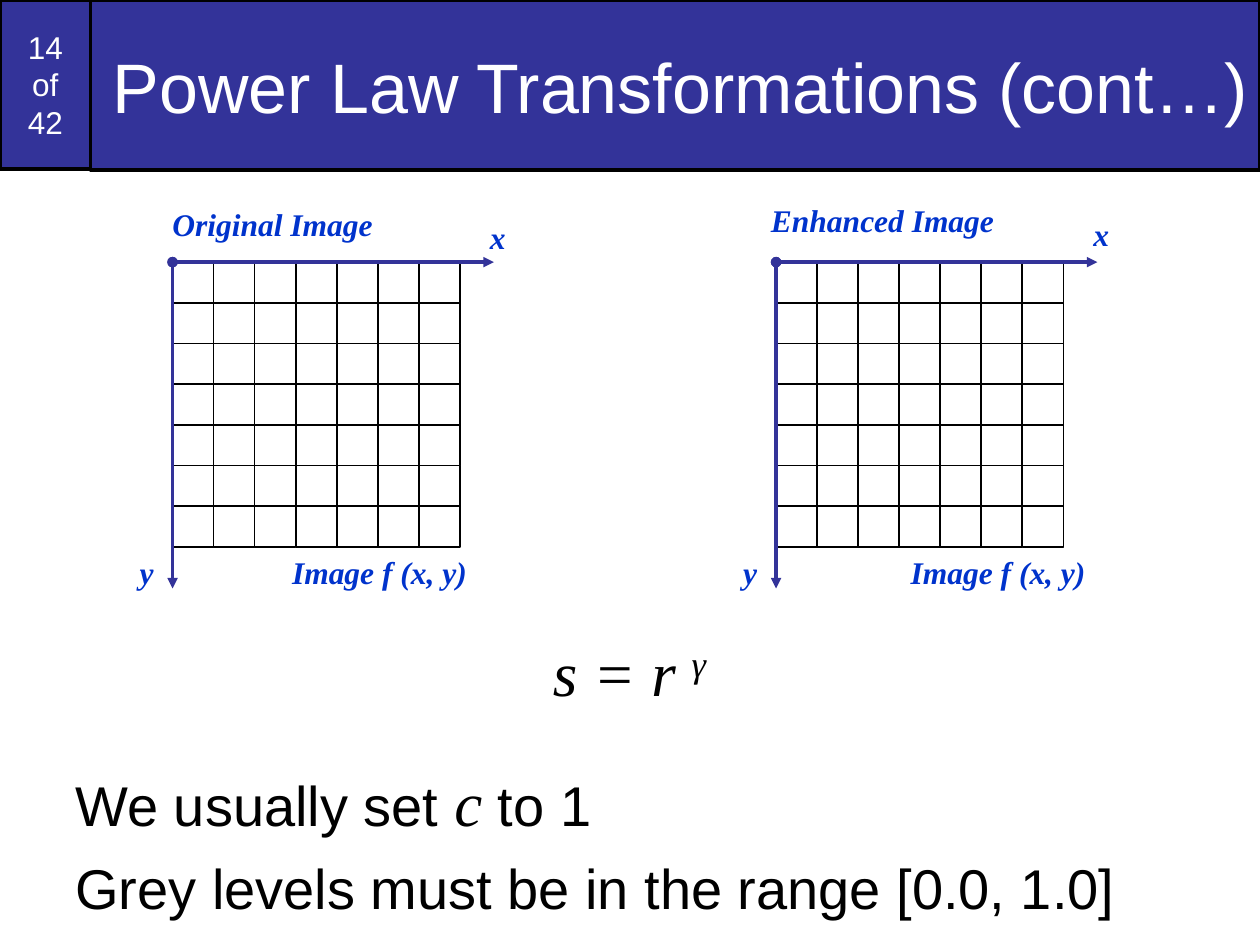
from dataclasses import dataclass

import pptx
import pptx.dml.color
import pptx.enum.shapes
import pptx.enum.text
import pptx.oxml.ns
import pptx.util
from lxml import etree

Pt = pptx.util.Pt
RGB = pptx.dml.color.RGBColor
Shapes = pptx.enum.shapes.MSO_SHAPE
Align = pptx.enum.text.PP_ALIGN


@dataclass(frozen=True)
class Theme:
    """Colours, fonts and type sizes of the slide."""
    banner: RGB = RGB(0x33, 0x33, 0x99)
    label: RGB = RGB(0x00, 0x33, 0xCC)
    white: RGB = RGB(0xFF, 0xFF, 0xFF)
    black: RGB = RGB(0x00, 0x00, 0x00)
    sans: str = "Arial"
    serif: str = "Times New Roman"
    title_size: int = 40
    formula_size: int = 36
    body_size: int = 32
    small_size: int = 18


THEME = Theme()


def style(run, size, name, color, bold=False, italic=False):
    """Format one run of text."""
    font = run.font
    font.size, font.name, font.bold, font.italic = Pt(size), name, bold, italic
    font.color.rgb = color


def add_box(shapes, box, fill, line_width):
    """Add a filled rectangle with a black outline."""
    shape = shapes.add_shape(Shapes.RECTANGLE, *map(Pt, box))
    shape.shadow.inherit = False
    shape.fill.solid()
    shape.fill.fore_color.rgb = fill
    shape.line.color.rgb = THEME.black
    shape.line.width = Pt(line_width)
    return shape


def add_banner(shapes, box, text, size, alignment):
    """Add a banner rectangle with white text."""
    shape = add_box(shapes, box, THEME.banner, 2)
    frame = shape.text_frame
    frame.word_wrap = True
    frame.vertical_anchor = pptx.enum.text.MSO_ANCHOR.MIDDLE
    frame.text = text
    paragraph = frame.paragraphs[0]
    paragraph.alignment = alignment
    for run in paragraph.runs:
        style(run, size, THEME.sans, THEME.white)


def add_line_of_text(shapes, box, parts):
    """Add an unwrapped text box and return its runs."""
    frame = shapes.add_textbox(*map(Pt, box)).text_frame
    frame.word_wrap = False
    frame.auto_size = pptx.enum.text.MSO_AUTO_SIZE.SHAPE_TO_FIT_TEXT
    paragraph = frame.paragraphs[0]
    for text in parts:
        paragraph.add_run().text = text
    return paragraph.runs


def add_axis(shapes, start, end):
    """Add an axis with a dot at its origin and an arrowhead at its end."""
    axis = shapes.add_connector(pptx.enum.shapes.MSO_CONNECTOR.STRAIGHT,
                                *map(Pt, start + end))
    axis.line.color.rgb = THEME.banner
    axis.line.width = Pt(2)
    line = axis.line._get_or_add_ln()
    for tag, kind in (("a:headEnd", "oval"), ("a:tailEnd", "triangle")):
        etree.SubElement(line, pptx.oxml.ns.qn(tag), type=kind)
    etree.SubElement(axis._element.spPr, pptx.oxml.ns.qn("a:effectLst"))


def add_pixel_grid(slide, box, labels, count=7):
    """Draw a pixel grid in its box, with axes and labels placed from its corner."""
    left, top, width, height = box
    shapes = slide.shapes.add_group_shape().shapes
    cell_width, cell_height = width / count, height / count
    for row in range(count):
        for column in range(count):
            add_box(shapes, (left + column * cell_width, top + row * cell_height,
                             cell_width, cell_height), THEME.white, 1)
    add_axis(shapes, (left, top), (left + 183.6, top))
    add_axis(shapes, (left, top), (left, top + 186.5))
    for text, across, down, label_width in labels:
        place = (left + across, top + down, label_width, 28.8)
        for run in add_line_of_text(shapes, place, [text]):
            style(run, THEME.small_size, THEME.serif, THEME.label, True, True)


def add_formula(slide, box):
    """Write the power law with its raised exponent."""
    base, exponent = add_line_of_text(slide.shapes, box, ["s = r ", "γ"])
    for run in (base, exponent):
        style(run, THEME.formula_size, THEME.serif, THEME.black, italic=True)
    exponent.font._element.set("baseline", "30000")


def add_body(slide, box):
    """Write the two remarks below the formula."""
    frame = slide.shapes.add_textbox(*map(Pt, box)).text_frame
    frame.word_wrap = True
    first, second = frame.paragraphs[0], frame.add_paragraph()
    second.space_before = Pt(8)
    for text in ("We usually set ", "c", " to 1"):
        first.add_run().text = text
    second.text = "Grey levels must be in the range [0.0, 1.0]"
    for run in first.runs + second.runs:
        style(run, THEME.body_size, THEME.sans, THEME.black)
    style(first.runs[1], THEME.formula_size, THEME.serif, THEME.black, italic=True)


def main():
    """Build the slide and save it."""
    presentation = pptx.Presentation()
    presentation.slide_width, presentation.slide_height = Pt(720), Pt(540)
    slide = presentation.slides.add_slide(presentation.slide_layouts[6])
    add_banner(slide.shapes, (0, 0, 51.8, 96.5), "14\vof\v42",
               THEME.small_size, Align.CENTER)
    add_banner(slide.shapes, (51.8, 0, 668.2, 97.2),
               "Power Law Transformations (cont…)", THEME.title_size, Align.RIGHT)
    add_body(slide, (36, 433, 648, 107))
    add_pixel_grid(slide, (98.6, 149.8, 164.2, 162.8), (
        ("Original Image", -7.2, -36, 128.9), ("x", 174.2, -28.8, 23),
        ("y", -25.9, 162.7, 22.3), ("Image f (x, y)", 61.2, 162.7, 114.5)))
    add_pixel_grid(slide, (443.5, 149.8, 164.2, 162.8), (
        ("Enhanced Image", -10, -38.2, 141.8), ("x", 174.2, -30.2, 23),
        ("y", -25.9, 162.7, 22.3), ("Image f (x, y)", 69.8, 162.7, 114.5)))
    add_formula(slide, (308.9, 358.6, 108, 50.4))
    presentation.save("out.pptx")


if __name__ == "__main__":
    main()
